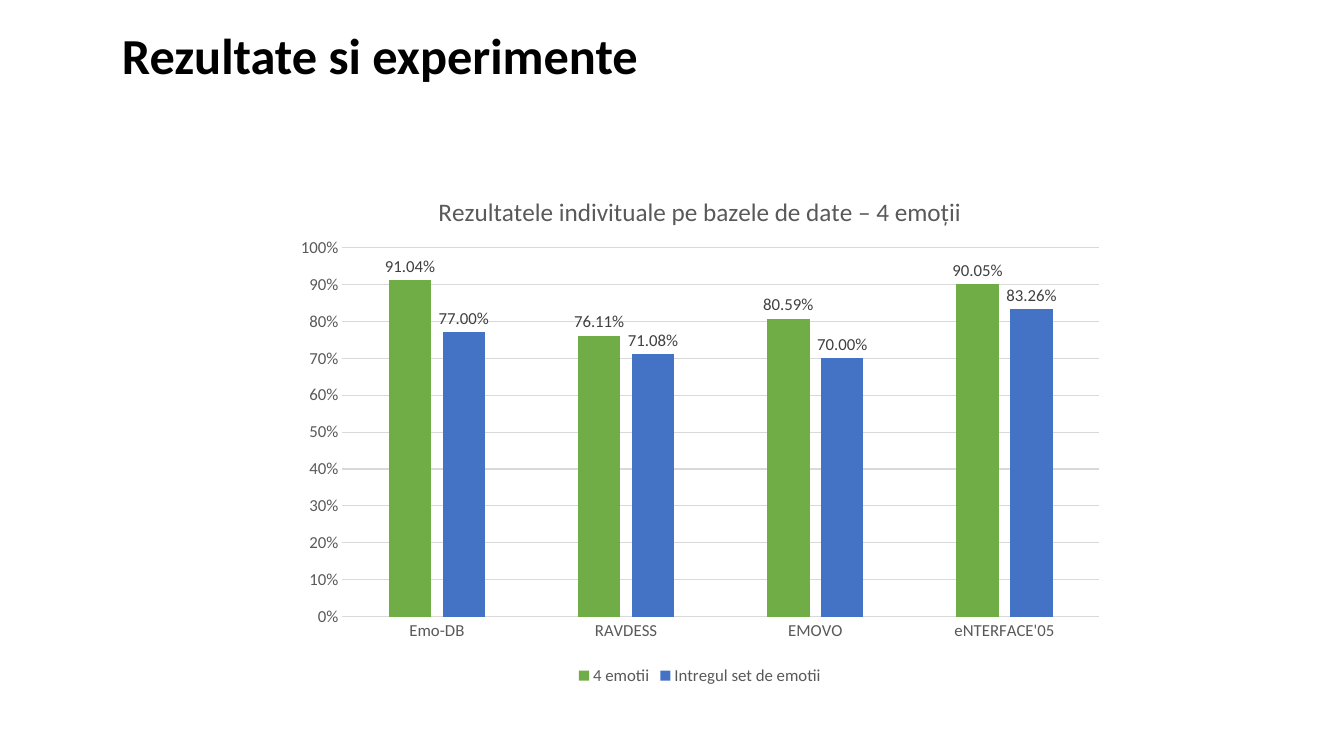
from lxml import etree
from pptx import Presentation
from pptx.chart.data import CategoryChartData
from pptx.dml.color import RGBColor
from pptx.enum.chart import (XL_CHART_TYPE as ChartType, XL_LABEL_POSITION as LabelPosition,
                             XL_LEGEND_POSITION as LegendPosition, XL_TICK_MARK as TickMark)
from pptx.enum.text import MSO_ANCHOR, PP_ALIGN
from pptx.oxml.ns import qn
from pptx.util import Cm, Pt

BLACK = RGBColor(0x00, 0x00, 0x00)
GREY = RGBColor(0x59, 0x59, 0x59)
LABEL_GREY = RGBColor(0x40, 0x40, 0x40)
GRID_GREY = RGBColor(0xD9, 0xD9, 0xD9)
GREEN = RGBColor(0x70, 0xAD, 0x47)
BLUE = RGBColor(0x44, 0x72, 0xC4)

DATABASES = ["Emo-DB", "RAVDESS", "EMOVO", "eNTERFACE'05"]
ACCURACIES = [
    ("4 emotii", (0.9104, 0.7611, 0.8059, 0.9005), GREEN),
    ("Intregul set de emotii", (0.77, 0.7108, 0.7, 0.8326), BLUE),
]


class SlideBuilder:
    font_name = "Calibri"

    def __init__(self, slide):
        self.slide = slide

    def style(self, font, size, color, bold=False):
        font.name, font.size, font.bold = self.font_name, Pt(size), bold
        font.color.rgb = color

    def title(self, text, left, top, width, height):
        heading = self.slide.shapes.title
        heading.left, heading.top, heading.width, heading.height = left, top, width, height
        frame = heading.text_frame
        frame.text = text
        frame.word_wrap = True
        frame.vertical_anchor = MSO_ANCHOR.MIDDLE
        paragraph = frame.paragraphs[0]
        paragraph.alignment = PP_ALIGN.LEFT
        paragraph.line_spacing = 0.9
        self.style(paragraph.font, 36, BLACK, bold=True)

    def place(self, parent, index, **settings):
        """Give a chart part a fixed place, as fractions of the chart."""
        for old in parent.findall(qn("c:layout")):
            parent.remove(old)
        layout = etree.Element(qn("c:layout"))
        manual = etree.SubElement(layout, qn("c:manualLayout"))
        for tag, value in settings.items():
            etree.SubElement(manual, qn(f"c:{tag}")).set("val", str(value))
        parent.insert(index, layout)

    def axis(self, axis):
        axis.major_tick_mark = axis.minor_tick_mark = TickMark.NONE
        self.style(axis.tick_labels.font, 12, GREY)

    def line(self, line):
        line.color.rgb = GRID_GREY
        line.width = Pt(0.75)

    def column_chart(self, title, categories, series, left, top, width, height):
        data = CategoryChartData(number_format="0.00%")
        data.categories = categories
        for name, values, _ in series:
            data.add_series(name, values)
        chart = self.slide.shapes.add_chart(
            ChartType.COLUMN_CLUSTERED, left, top, width, height, data).chart
        self.style(chart.font, 10, BLACK)

        # Chart title
        chart.has_title = True
        heading = chart.chart_title
        heading.include_in_layout = False
        heading.text_frame.text = title
        self.style(heading.text_frame.paragraphs[0].font, 18, GREY)
        self.place(heading._element, 1, xMode="edge", yMode="edge", x=0.18, y=0.04)

        # Axes and grid
        self.axis(chart.category_axis)
        self.line(chart.category_axis.format.line)
        scale = chart.value_axis
        self.axis(scale)
        scale.format.line.fill.background()
        scale.minimum_scale, scale.maximum_scale, scale.major_unit = 0, 1, 0.1
        scale.tick_labels.number_format = "0%"
        scale.tick_labels.number_format_is_linked = False
        self.line(scale.major_gridlines.format.line)

        # Columns and their labels
        plot = chart.plots[0]
        plot.gap_width, plot.overlap = 219, -27
        plot.vary_by_categories = False
        for columns, (_, _, color) in zip(plot.series, series):
            columns.format.fill.solid()
            columns.format.fill.fore_color.rgb = color
            columns.invert_if_negative = False
            labels = columns.data_labels
            labels.show_value = True
            labels.number_format = "0.00%"
            labels.number_format_is_linked = False
            labels.position = LabelPosition.OUTSIDE_END
            self.style(labels.font, 12, LABEL_GREY)
        self.place(chart._chartSpace.chart.plotArea, 0, layoutTarget="inner",
                   xMode="edge", yMode="edge", x=0.07, y=0.15, w=0.91, h=0.71)

        # Legend
        chart.has_legend = True
        chart.legend.position = LegendPosition.BOTTOM
        chart.legend.include_in_layout = False
        self.style(chart.legend.font, 12, GREY)


def main():
    presentation = Presentation()
    presentation.slide_width, presentation.slide_height = Cm(33.87), Cm(19.05)
    title_only = presentation.slide_layouts[5]
    builder = SlideBuilder(presentation.slides.add_slide(title_only))

    builder.title("Rezultate si experimente", Cm(2.82), Cm(0.61), Cm(14.12), Cm(1.73))
    builder.column_chart("Rezultatele indivituale pe bazele de date – 4 emoții",
                         DATABASES, ACCURACIES, Cm(7.16), Cm(4.27), Cm(20.96), Cm(13.11))
    presentation.save("out.pptx")


if __name__ == "__main__":
    main()
